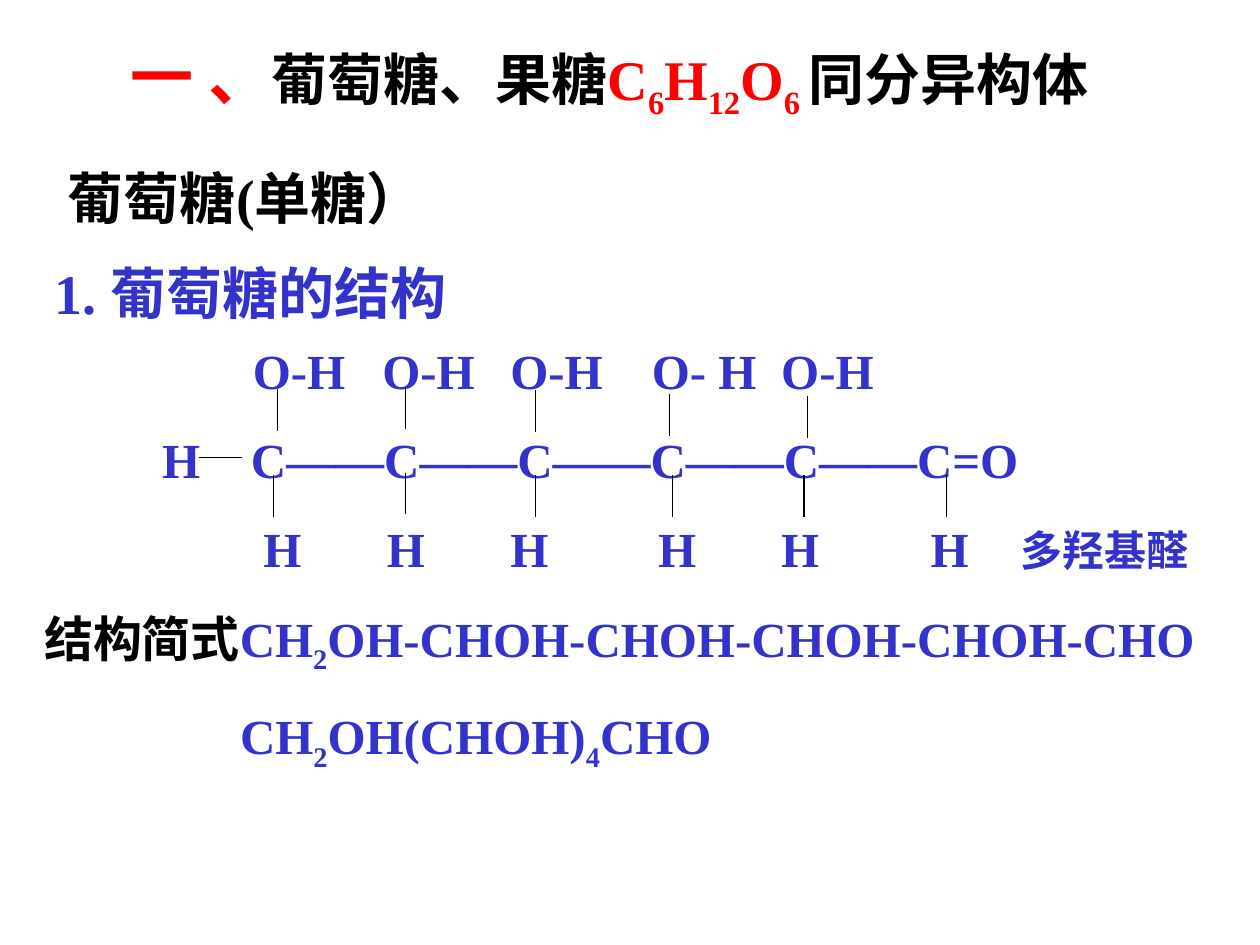
from lxml import etree
from pptx import Presentation
from pptx import util as u
from pptx.dml.color import RGBColor
from pptx.enum import shapes, text
from pptx.oxml.ns import qn

RED = RGBColor(0xFF, 0x00, 0x00)
BLACK = RGBColor(0x00, 0x00, 0x00)
BLUE = RGBColor(0x33, 0x33, 0xCC)
FONT = "Times New Roman"
BOND = 0.84

# Left edges of the atom columns, measured from the text edge (cm)
HYDROXYL_TABS = [4.21, 6.82, 9.4, 12.25, 14.86]
CARBON_TABS = [4.17]
HYDROGEN_TABS = [4.42, 6.91, 9.4, 12.38, 14.86, 17.87]

# Bond tops relative to the formula box (cm)
UPPER_BONDS = [(4.95, 1.12), (7.54, 1.07), (10.16, 1.14), (12.85, 1.22), (15.64, 1.25)]
LOWER_BONDS = [(4.87, 2.85), (7.54, 2.8), (10.16, 2.85),
               (12.92, 2.85), (15.57, 2.85), (18.44, 2.85)]


def add_frame(slide, box):
    frame = slide.shapes.add_textbox(*(u.Cm(side) for side in box)).text_frame
    frame.word_wrap = True
    return frame


def write(paragraph, parts, size, indent=0, tabs=()):
    """Parts are (wording, colour); wording marked with _ at the start is a subscript."""
    properties = paragraph._p.get_or_add_pPr()
    if indent:
        properties.set("marL", str(u.Cm(indent)))
    if tabs:
        stops = etree.SubElement(properties, qn("a:tabLst"))
        for position in tabs:
            etree.SubElement(stops, qn("a:tab"), pos=str(u.Cm(position)), algn="l")
    for wording, colour in parts:
        run = paragraph.add_run()
        run.text = wording.lstrip("_")
        formats = {"name": FONT, "size": u.Pt(size), "bold": True}
        for name, value in formats.items():
            setattr(run.font, name, value)
        run.font.color.rgb = colour
        if wording.startswith("_"):
            run._r.get_or_add_rPr().set("baseline", "-25000")


def add_bond(slide, start, end, width=0.75):
    ends = [u.Cm(value) for value in (*start, *end)]
    bond = slide.shapes.add_connector(shapes.MSO_CONNECTOR.STRAIGHT, *ends)
    bond.line.color.rgb = BLACK
    bond.line.width = u.Pt(width)
    etree.SubElement(bond._element.spPr, qn("a:effectLst"))


def add_title(slide, box):
    title = add_frame(slide, box).paragraphs[0]
    write(title, [("一 、", RED)], 36, indent=1.12)
    formula = [(part, RED) for part in ("C", "_6", "H", "_12", "O", "_6 ")]
    write(title, [("葡萄糖、果糖", BLACK), *formula, ("同分异构体", BLACK)], 32)


def add_heading(slide, box, wording, colour, indent=0):
    write(add_frame(slide, box).paragraphs[0], [(wording, colour)], 32, indent)


def add_formula(slide, box):
    left, top = box[:2]
    frame = add_frame(slide, box)
    condensed = [(part, BLUE) for part in ("CH", "_2", "OH-CHOH-CHOH-CHOH-CHOH-CHO")]
    short = [(part, BLUE) for part in ("CH", "_2", "OH(CHOH)", "_4", "CHO")]

    # Atom rows, then the two condensed formulas
    rows = [
        ([("\tO-H\tO-H\tO-H\tO- H\tO-H", BLUE)], {"tabs": HYDROXYL_TABS}),
        ([("\tC——C——C——C——C——C=O", BLUE)], {"tabs": CARBON_TABS}),
        ([("\tH" * 6, BLUE)], {"tabs": HYDROGEN_TABS}),
        ([("结构简式", BLACK), *condensed], {}),
        (short, {"indent": 3.95}),
    ]
    for number, (parts, layout) in enumerate(rows):
        row = frame.paragraphs[0] if number == 0 else frame.add_paragraph()
        write(row, parts, 28, **layout)
        row.alignment = text.PP_ALIGN.LEFT if "tabs" in layout else text.PP_ALIGN.JUSTIFY
        if number:
            row.space_before = u.Pt(17.5)

    # Vertical bonds
    for x, y in UPPER_BONDS + LOWER_BONDS:
        add_bond(slide, (left + x, top + y), (left + x, top + y + BOND))

    # End hydrogen with its bond, and the class of compound
    add_bond(slide, (left + 3.37, top + 2.49), (left + 4.24, top + 2.49), 1)
    hydrogen = add_frame(slide, (left + 2.38, top + 1.8, 2.11, 1.45))
    write(hydrogen.paragraphs[0], [("H", BLUE)], 28)
    compound = add_frame(slide, (left + 19.68, top + 3.71, 5.08, 1.27))
    write(compound.paragraphs[0], [("多羟基醛", BLUE)], 24)


def main():
    deck = Presentation()
    deck.slide_width, deck.slide_height = u.Cm(25.4), u.Cm(19.05)
    slide = deck.slides.add_slide(deck.slide_layouts[6])
    add_title(slide, (1.27, 0.64, 21.79, 1.96))
    add_heading(slide, (0.84, 3.18, 11.23, 1.63), "葡萄糖(单糖）", BLACK, indent=0.28)
    add_heading(slide, (0.84, 5.08, 12.9, 1.63), "1. 葡萄糖的结构", BLUE)
    add_formula(slide, (0.64, 6.73, 23.93, 10.2))
    deck.save("out.pptx")


if __name__ == "__main__":
    main()
